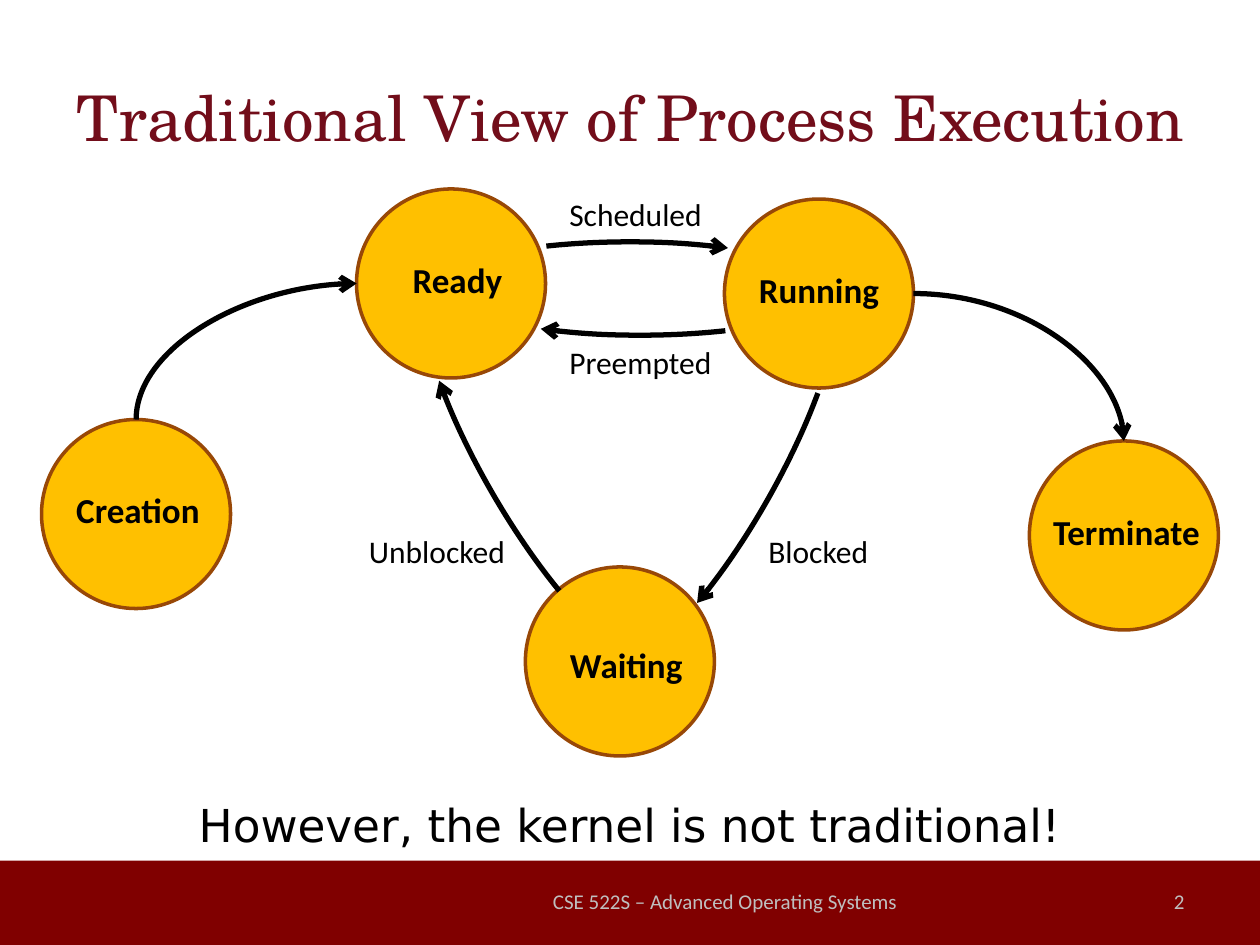
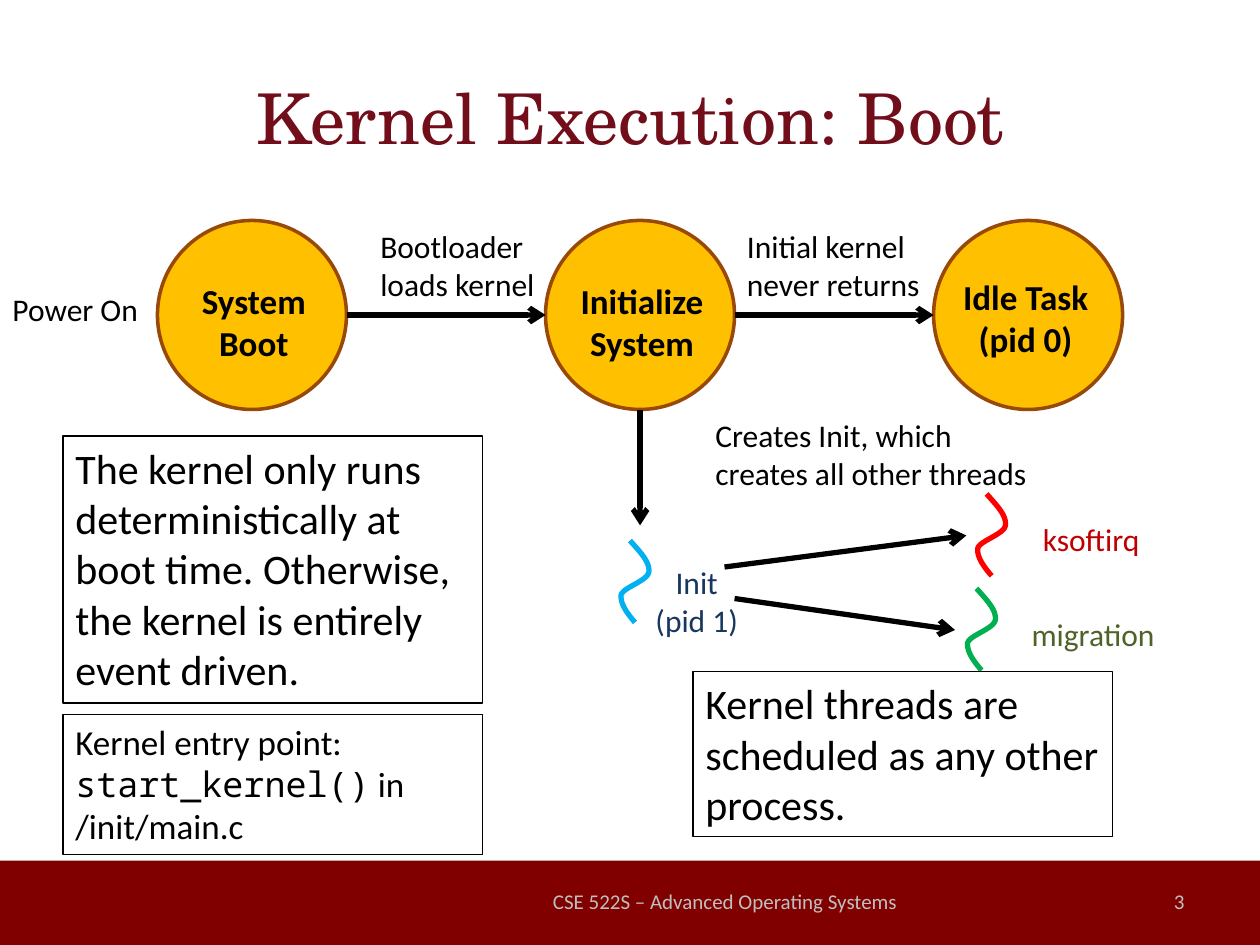
from lxml import etree
from pptx import Presentation
from pptx.dml.color import RGBColor
from pptx.enum.shapes import MSO_CONNECTOR, MSO_SHAPE
from pptx.enum.text import MSO_ANCHOR, MSO_AUTO_SIZE, PP_ALIGN
from pptx.oxml.ns import qn
from pptx.util import Inches, Pt

COLORS = {
    "band": "800000", "title": "720D1A", "footer": "BFBFBF", "ink": "000000",
    "node": "FFC000", "node_edge": "984807",
    "init": "00B0F0", "init_text": "17375E",
    "softirq": "FF0000", "softirq_text": "C00000",
    "migration": "00B050", "migration_text": "4F6228",
}
BODY, TITLE, CLOSING, CODE = "Calibri", "TeX Gyre Schola", "DejaVu Sans", "Noto Sans Mono"
COURSE = "CSE 522S – Advanced Operating Systems"
NODE = 1.5
WAVE_START = (0.08, 0)
WAVE_CURVES = [
    [(0.16, 0.09), (0.24, 0.17), (0.23, 0.25)],
    [(0.22, 0.32), (0.03, 0.37), (0.01, 0.43)],
    [(0, 0.5), (0.06, 0.58), (0.12, 0.65)],
]


def rgb(name):
    return RGBColor.from_string(COLORS[name])


def inches(*lengths):
    return [Inches(length) for length in lengths]


def add_text(shapes, box, paragraphs, size, color="ink", font=BODY, bold=False,
             align=PP_ALIGN.LEFT, anchor=MSO_ANCHOR.TOP, wrap=True):
    text_box = shapes.add_textbox(*inches(*box))
    frame = text_box.text_frame
    frame.word_wrap = wrap
    frame.vertical_anchor = anchor
    frame.auto_size = MSO_AUTO_SIZE.NONE if wrap else MSO_AUTO_SIZE.SHAPE_TO_FIT_TEXT
    for index, text in enumerate(paragraphs):
        paragraph = frame.add_paragraph() if index else frame.paragraphs[0]
        paragraph.text = text
        paragraph.alignment = align
        paragraph.font.size = Pt(size)
        paragraph.font.name = font
        paragraph.font.bold = bold
        paragraph.font.color.rgb = rgb(color)
    return text_box


def add_label(shapes, left, top, width, *paragraphs, **style):
    lines = sum(text.count("\n") + 1 for text in paragraphs)
    add_text(shapes, (left, top, width, 0.09 + 0.31 * lines), paragraphs, 18,
             wrap=False, **style)


def draw_line(shape, color="ink", width=3, arrow=False):
    shape.line.color.rgb = rgb(color)
    shape.line.width = Pt(width)
    if arrow:
        etree.SubElement(shape.line._get_or_add_ln(), qn("a:tailEnd"), type="arrow")


def add_arrow(slide, x1, y1, x2, y2, kind=MSO_CONNECTOR.STRAIGHT):
    arrow = slide.shapes.add_connector(kind, *inches(x1, y1, x2, y2))
    draw_line(arrow, arrow=True)
    etree.SubElement(arrow._element.spPr, qn("a:effectLst"))
    return arrow


def add_bend(slide, x1, y1, x2, y2, vertical_start=False):
    if vertical_start:
        mid_x, mid_y = (x1 + x2) / 2, (y1 + y2) / 2
        half_x, half_y = (y1 - y2) / 2, (x2 - x1) / 2
        x1, y1, x2, y2 = mid_x + half_x, mid_y + half_y, mid_x - half_x, mid_y - half_y
    bend = add_arrow(slide, x1, y1, x2, y2, MSO_CONNECTOR.CURVE)
    properties = bend._element.spPr
    properties.find(qn("a:prstGeom")).set("prst", "curvedConnector2")
    if vertical_start:
        properties.find(qn("a:xfrm")).set("rot", "5400000")


def add_arc(slide, left, top, rotation, start, end):
    arc = slide.shapes.add_shape(MSO_SHAPE.ARC, *inches(left, top, 3.33, 0.83))
    arc.shadow.inherit = False
    arc.fill.background()
    arc.adjustments[0], arc.adjustments[1] = start, end
    arc.rotation = rotation
    draw_line(arc, arrow=True)


def add_node(slide, left, top, name, dx, dy, width):
    group = slide.shapes.add_group_shape().shapes
    circle = group.add_shape(MSO_SHAPE.OVAL, *inches(left, top, NODE, NODE))
    circle.shadow.inherit = False
    circle.fill.solid()
    circle.fill.fore_color.rgb = rgb("node")
    draw_line(circle, "node_edge", 2)
    height = 0.77 if "\n" in name else 0.44
    add_text(group, (left + dx, top + dy, width, height), [name], 20, bold=True,
             align=PP_ALIGN.CENTER, wrap=False)


def add_thread(slide, left, top, color):
    def place(point):
        return Inches(left + point[0]), Inches(top + point[1])

    points, start = [], WAVE_START
    for c1, c2, end in WAVE_CURVES:
        for step in range(1, 13):
            t = step / 12
            points.append(place([
                (1 - t) ** 3 * a + 3 * (1 - t) ** 2 * t * b + 3 * (1 - t) * t ** 2 * c + t ** 3 * d
                for a, b, c, d in zip(start, c1, c2, end)]))
        start = end
    builder = slide.shapes.build_freeform(*place(WAVE_START))
    builder.add_line_segments(points, close=False)
    wave = builder.convert_to_shape()
    wave.shadow.inherit = False
    wave.fill.background()
    draw_line(wave, color)


def add_note(slide, box, paragraphs, size):
    note = add_text(slide.shapes, box, paragraphs, size)
    draw_line(note, width=0.75)
    return note


def add_frame(deck, title, title_size, number):
    slide = deck.slides.add_slide(deck.slide_layouts[6])
    band = slide.shapes.add_shape(MSO_SHAPE.RECTANGLE, *inches(0, 6.83, 10, 0.67))
    band.shadow.inherit = False
    band.fill.solid()
    band.fill.fore_color.rgb = rgb("band")
    band.line.fill.background()
    add_text(slide.shapes, (0.5, 0.3, 9, 1.25), [title], title_size, "title", TITLE,
             align=PP_ALIGN.CENTER, anchor=MSO_ANCHOR.MIDDLE)
    for box, text, align in [((7.17, 6.95, 2.33, 0.4), str(number), PP_ALIGN.RIGHT),
                             ((4.17, 6.95, 3.17, 0.4), COURSE, PP_ALIGN.CENTER)]:
        add_text(slide.shapes, box, [text], 12, "footer", align=align,
                 anchor=MSO_ANCHOR.MIDDLE)
    return slide


def add_state_diagram(slide, left, top):
    for x, y, name, dx, dy, width in [
        (0, 1.83, "Creation", 0.17, 0.5, 1.19),
        (2.5, 0, "Ready", 0.34, 0.5, 0.92),
        (5.42, 0.08, "Running", 0.17, 0.5, 1.16),
        (3.84, 3, "Waiting", 0.25, 0.56, 1.1),
        (7.84, 2, "Terminate", 0.08, 0.5, 1.38),
    ]:
        add_node(slide, left + x, top + y, name, dx, dy, width)
    add_bend(slide, left + 0.75, top + 1.83, left + 2.5, top + 0.75, vertical_start=True)
    add_bend(slide, left + 6.92, top + 0.83, left + 8.59, top + 2)
    for x, y, rotation, start, end in [
        (3, 0.42, 0, 126.05, 200.97),
        (3.09, 0.33, 180, 125.69, 201.18),
        (3.75, 1.82, 119.3, 120.7, 205.31),
        (2.29, 1.82, 239.6, 120.7, 205.31),
    ]:
        add_arc(slide, left + x, top + y, rotation, start, end)
    for x, y, width, event in [
        (5.67, 2.67, 1, "Blocked"),
        (4.09, 1.17, 1.34, "Preempted"),
        (4.09, 0, 1.27, "Scheduled"),
        (2.5, 2.67, 1.29, "Unblocked"),
    ]:
        add_label(slide.shapes, left + x, top + y, width, event)


def add_boot_flow(slide, left, top):
    stages = [
        ("System\nBoot", 0.25, 0.42, 1.03),
        ("Initialize\nSystem", 0.17, 0.42, 1.19),
        ("Idle Task\n(pid 0)", 0.12, 0.39, 1.22),
    ]
    pitch = 3.08
    for index, (name, dx, dy, width) in enumerate(stages):
        x = left + 1.25 + index * pitch
        add_node(slide, x, top, name, dx, dy, width)
        if index:
            middle = top + NODE / 2
            add_arrow(slide, x - pitch + NODE, middle, x, middle)
    add_label(slide.shapes, left, top + 0.5, 1.21, "Power On")
    add_label(slide.shapes, left + 2.92, top, 1.44, "Bootloader\nloads kernel")
    add_label(slide.shapes, left + 5.83, top, 1.6, "Initial kernel", "never returns")


def add_thread_tree(slide, left, top):
    for x1, y1, x2, y2 in [(0.16, 0, 0.16, 0.92), (0.83, 1.25, 2.75, 1),
                           (0.91, 1.5, 2.66, 1.75)]:
        add_arrow(slide, left + x1, top + y1, left + x2, top + y2)
    add_label(slide.shapes, left + 0.66, top, 2.73,
              "Creates Init, which", "creates all other threads")
    for x, y, color, name, dx, dy, width in [
        (0, 1.04, "init", "Init\n(pid 1)", 0.18, 0.13, 0.86),
        (2.83, 0.67, "softirq", "ksoftirq", 0.42, 0.16, 0.98),
        (2.75, 1.42, "migration", "migration", 0.41, 0.16, 1.19),
    ]:
        add_thread(slide, left + x, top + y, color)
        add_label(slide.shapes, left + x + dx, top + y + dy, width, name,
                  color=color + "_text", align=PP_ALIGN.CENTER)


def add_notes_column(slide, left, top):
    add_note(slide, (left, top, 3.33, 2.12),
             ["The kernel only runs deterministically at boot time. "
              "Otherwise, the kernel is entirely event driven."], 24)
    entry = add_note(slide, (left, top + 2.21, 3.33, 1.11), ["Kernel entry point:", ""], 20)
    location = entry.text_frame.paragraphs[1]
    call = location.add_run()
    call.text = "start_kernel()"
    call.font.name = CODE
    location.add_run().text = " in"
    location.add_line_break()
    location.add_run().text = "/init/main.c"


def build_process_slide(deck):
    slide = add_frame(deck, "Traditional View of Process Execution", 36, 2)
    add_state_diagram(slide, 0.33, 1.5)
    add_text(slide.shapes, (0.5, 6.28, 9, 0.45), ["However, the kernel is not traditional!"],
             25.9, font=CLOSING, align=PP_ALIGN.CENTER)


def build_boot_slide(deck):
    slide = add_frame(deck, "Kernel Execution: Boot", 40, 3)
    add_boot_flow(slide, 0, 1.75)
    add_thread_tree(slide, 4.92, 3.25)
    add_notes_column(slide, 0.5, 3.46)
    add_note(slide, (5.5, 5.33, 3.33, 1.31),
             ["Kernel threads are scheduled as any other process."], 24)


def main():
    deck = Presentation()
    deck.slide_width, deck.slide_height = inches(10, 7.5)
    build_process_slide(deck)
    build_boot_slide(deck)
    deck.save("out.pptx")


if __name__ == "__main__":
    main()
